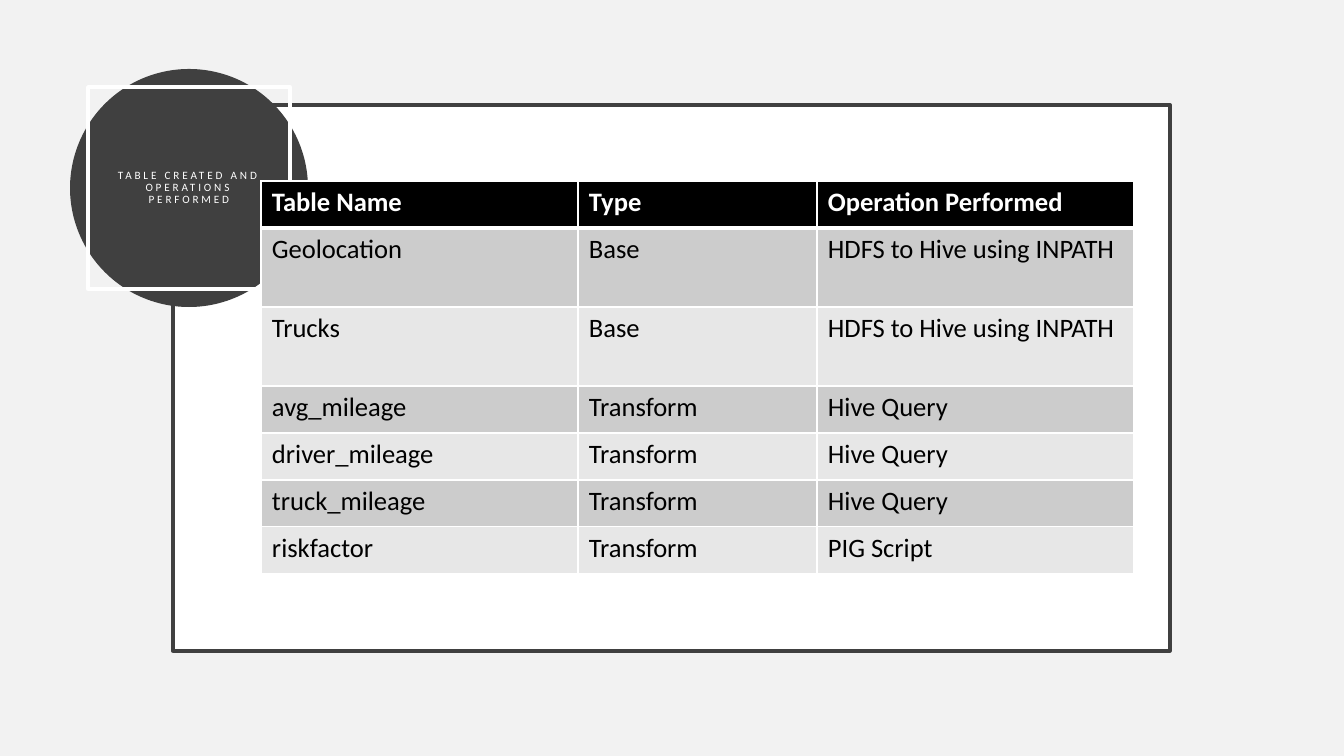
from lxml import etree
from pptx import Presentation
from pptx.dml.color import RGBColor
from pptx.enum.shapes import MSO_SHAPE
from pptx.enum.text import MSO_ANCHOR, PP_ALIGN
from pptx.oxml.ns import qn
from pptx.util import Pt

EMU_PER_PX = 914400 / 100.8
FONT = "Calibri"
DARK, WHITE, BLACK = "404040", "FFFFFF", "000000"
BANDS = ("CCCCCC", "E7E7E7")
ROWS = [
    ("Table Name", "Type", "Operation Performed"),
    ("Geolocation", "Base", "HDFS to Hive using INPATH"),
    ("Trucks", "Base", "HDFS to Hive using INPATH"),
    ("avg_mileage", "Transform", "Hive Query"),
    ("driver_mileage", "Transform", "Hive Query"),
    ("truck_mileage", "Transform", "Hive Query"),
    ("riskfactor", "Transform", "PIG Script"),
]
COL_WIDTHS = (317, 239, 317)
ROW_HEIGHTS = (47, 79, 79, 47, 47, 47, 47)


def px(n):
    """Turn pixels into EMU."""
    return round(n * EMU_PER_PX)


def color(value):
    """Turn a hex string into a colour."""
    return RGBColor.from_string(value)


def add_run(p, text, size, ink, bold=False):
    """Append a styled run to a paragraph."""
    r = p.add_run()
    r.text = text
    r.font.name, r.font.size, r.font.bold = FONT, Pt(size), bold
    r.font.color.rgb = color(ink)
    return r


def add_block(s, kind, box, fill=None, line=None):
    """Draw a preset shape with an optional fill and outline."""
    sp = s.shapes.add_shape(kind, *map(px, box))
    sp.shadow.inherit = False
    if fill:
        sp.fill.solid()
        sp.fill.fore_color.rgb = color(fill)
    else:
        sp.fill.background()
    if line:
        sp.line.color.rgb = color(line)
        sp.line.width = Pt(2.5)
    else:
        sp.line.fill.background()
    return sp


def add_badge(s, left, top, size):
    """Draw the dark circle with the framed title inside it."""
    add_block(s, MSO_SHAPE.OVAL, (left, top, size, size), DARK)
    inset = 18
    side = size - 2 * inset
    sp = add_block(s, MSO_SHAPE.RECTANGLE, (left + inset, top + inset, side, side), line=WHITE)
    tf = sp.text_frame
    tf.word_wrap = True
    tf.vertical_anchor = MSO_ANCHOR.MIDDLE
    tf.margin_left = tf.margin_right = tf.margin_top = tf.margin_bottom = px(20)
    p = tf.paragraphs[0]
    p.alignment, p.line_spacing = PP_ALIGN.CENTER, 0.9
    r = add_run(p, "TABLE CREATED AND OPERATIONS PERFORMED", 8, WHITE)
    r.font._element.set("spc", "200")


def set_borders(cell, bottom):
    """Give a cell white borders, with its own bottom width."""
    tc_pr = cell._tc.get_or_add_tcPr()
    for i, (side, width) in enumerate((("L", 1), ("R", 1), ("T", 1), ("B", bottom))):
        ln = etree.Element(qn(f"a:ln{side}"), w=str(Pt(width)))
        fill = etree.SubElement(ln, qn("a:solidFill"))
        etree.SubElement(fill, qn("a:srgbClr"), val=WHITE)
        tc_pr.insert(i, ln)


def add_operations_table(s, left, top):
    """Draw the table of names, types and operations."""
    box = (left, top, sum(COL_WIDTHS), sum(ROW_HEIGHTS))
    table = s.shapes.add_table(len(ROWS), len(COL_WIDTHS), *map(px, box)).table
    for column, width in zip(table.columns, COL_WIDTHS):
        column.width = px(width)
    for i, (texts, height) in enumerate(zip(ROWS, ROW_HEIGHTS)):
        header = i == 0
        table.rows[i].height = px(height)
        for cell, text in zip(table.rows[i].cells, texts):
            cell.margin_left = cell.margin_right = px(11)
            cell.margin_top = cell.margin_bottom = px(5)
            cell.fill.solid()
            cell.fill.fore_color.rgb = color(BLACK if header else BANDS[(i - 1) % 2])
            set_borders(cell, 3 if header else 1)
            add_run(cell.text_frame.paragraphs[0], text, 19, WHITE if header else BLACK, header)


def main():
    """Build and save the slide."""
    prs = Presentation()
    prs.slide_width, prs.slide_height = px(1344), px(756)
    s = prs.slides.add_slide(prs.slide_layouts[6])
    s.background.fill.solid()
    s.background.fill.fore_color.rgb = color("F2F2F2")
    add_block(s, MSO_SHAPE.RECTANGLE, (173, 105, 997, 546), WHITE, DARK)
    add_badge(s, 70, 69, 238)
    add_operations_table(s, 261, 181)
    prs.save("out.pptx")


if __name__ == "__main__":
    main()
